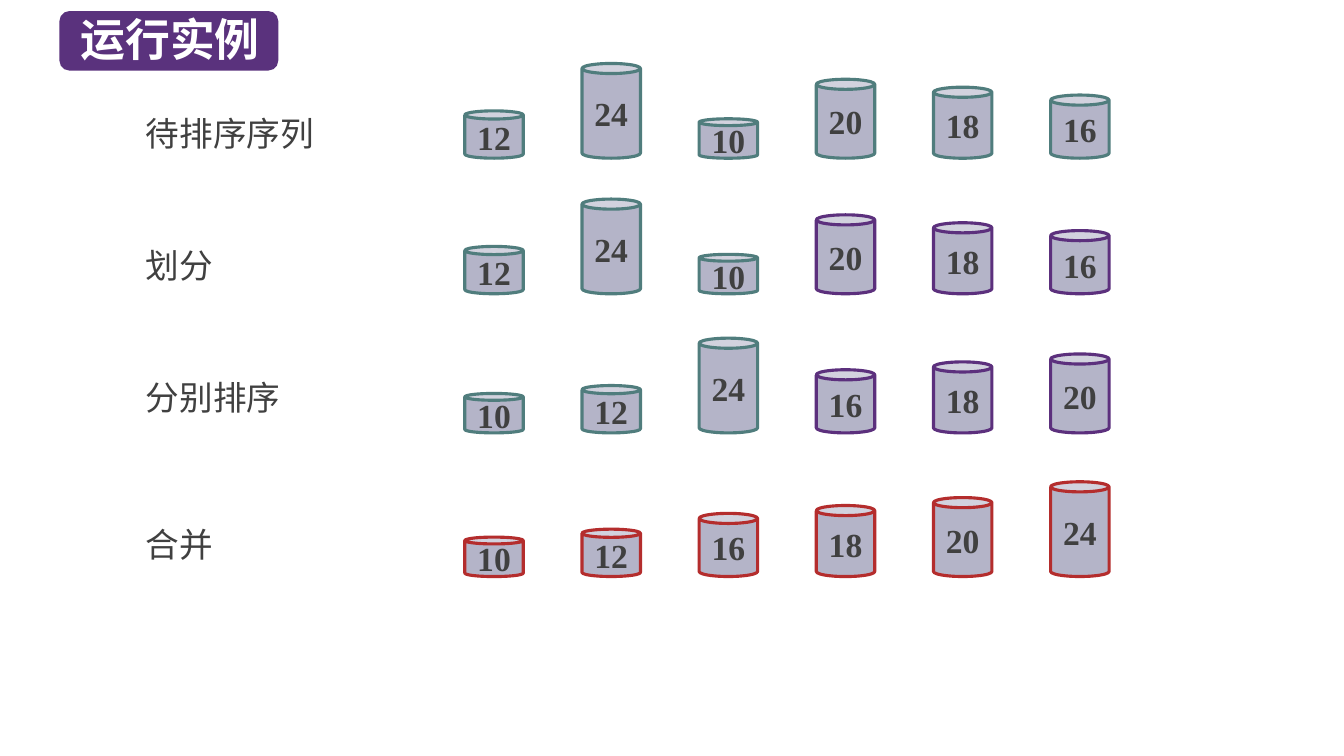
"""Build the slide that traces one merge sort run with cylinders."""
from dataclasses import dataclass

from lxml import etree
from pptx import Presentation
from pptx.dml.color import RGBColor
from pptx.enum.shapes import MSO_SHAPE
from pptx.enum.text import MSO_ANCHOR, MSO_AUTO_SIZE, PP_ALIGN
from pptx.oxml.ns import qn
from pptx.shapes.autoshape import Shape
from pptx.slide import Slide
from pptx.text.text import TextFrame
from pptx.util import Inches, Pt

CAN = MSO_SHAPE.CAN
ROUNDED = MSO_SHAPE.ROUNDED_RECTANGLE
MIDDLE = MSO_ANCHOR.MIDDLE
CENTER = PP_ALIGN.CENTER
FIT_SHAPE = MSO_AUTO_SIZE.SHAPE_TO_FIT_TEXT

PURPLE, VIOLET, TEAL, RED = "5A327D", "5C307D", "507D7D", "B42D2D"
CAN_FILL, INK, WHITE = "B4B4C8", "404040", "FFFFFF"

CHINESE, LATIN = "Noto Sans CJK SC", "Times New Roman"
TITLE_FONT = {"name": CHINESE, "size": Pt(32), "bold": True}
LABEL_FONT = {"name": CHINESE, "size": Pt(24), "bold": False}
NUMBER_FONT = {"name": LATIN, "size": Pt(24), "bold": True}

FIRST_CAN_LEFT, CAN_PITCH, CAN_WIDTH = 4.61, 1.162, 0.58
TALLEST_CAN, LARGEST_VALUE = 0.94, 24


@dataclass(frozen=True)
class Box:
    left: float
    top: float
    width: float
    height: float

    def lengths(self) -> list[int]:
        return [Inches(n) for n in (self.left, self.top, self.width, self.height)]


@dataclass(frozen=True)
class Stage:
    label: str
    label_top: float
    floor: float
    values: tuple[int, ...]
    left_half: str
    right_half: str


STAGES = (
    Stage("待排序序列", 1.07, 1.57, (12, 24, 10, 20, 18, 16), TEAL, TEAL),
    Stage("划分", 2.38, 2.915, (12, 24, 10, 20, 18, 16), TEAL, VIOLET),
    Stage("分别排序", 3.69, 4.295, (10, 12, 24, 16, 18, 20), TEAL, VIOLET),
    Stage("合并", 5.15, 5.72, (10, 12, 16, 18, 20, 24), RED, RED),
)


def rgb(code: str) -> RGBColor:
    return RGBColor.from_string(code)


def write(frame: TextFrame, words: str, style: dict, color: str) -> None:
    run = frame.paragraphs[0].add_run()
    run.text = words
    for attribute, value in style.items():
        setattr(run.font, attribute, value)
    run.font.color.rgb = rgb(color)
    etree.SubElement(run._r.get_or_add_rPr(), qn("a:ea"), typeface=style["name"])


def add_words(slide: Slide, box: Box, words: str, style: dict, color: str) -> None:
    frame = slide.shapes.add_textbox(*box.lengths()).text_frame
    frame.word_wrap = True
    frame.auto_size = FIT_SHAPE
    write(frame, words, style, color)


def add_solid(slide: Slide, preset: MSO_SHAPE, box: Box, fill: str) -> Shape:
    solid = slide.shapes.add_shape(preset, *box.lengths())
    solid.shadow.inherit = False
    solid.fill.solid()
    solid.fill.fore_color.rgb = rgb(fill)
    return solid


def add_can(slide: Slide, column: int, floor: float, value: int, outline: str) -> None:
    height = TALLEST_CAN * value / LARGEST_VALUE
    left = FIRST_CAN_LEFT + column * CAN_PITCH
    can = add_solid(slide, CAN, Box(left, floor - height, CAN_WIDTH, height), CAN_FILL)
    can.adjustments[0] = 0.173
    can.line.color.rgb = rgb(outline)
    can.line.width = Pt(2.25)
    frame = can.text_frame
    frame.word_wrap = False
    frame.vertical_anchor = MIDDLE
    frame.paragraphs[0].alignment = CENTER
    write(frame, str(value), NUMBER_FONT, INK)


def add_stage(slide: Slide, stage: Stage) -> None:
    add_words(slide, Box(1.35, stage.label_top, 2.03, 0.5), stage.label, LABEL_FONT, INK)
    middle = len(stage.values) // 2
    for column, value in enumerate(stage.values):
        outline = stage.left_half if column < middle else stage.right_half
        add_can(slide, column, stage.floor, value, outline)


def main() -> None:
    deck = Presentation()
    deck.slide_width, deck.slide_height = Inches(13.33), Inches(7.5)
    slide = deck.slides.add_slide(deck.slide_layouts[6])
    title_plate = add_solid(slide, ROUNDED, Box(0.59, 0.11, 2.17, 0.59), PURPLE)
    title_plate.line.fill.background()
    add_words(slide, Box(0.7, 0.07, 2.1, 0.64), "运行实例", TITLE_FONT, WHITE)
    for stage in STAGES:
        add_stage(slide, stage)
    deck.save("out.pptx")


if __name__ == "__main__":
    main()
